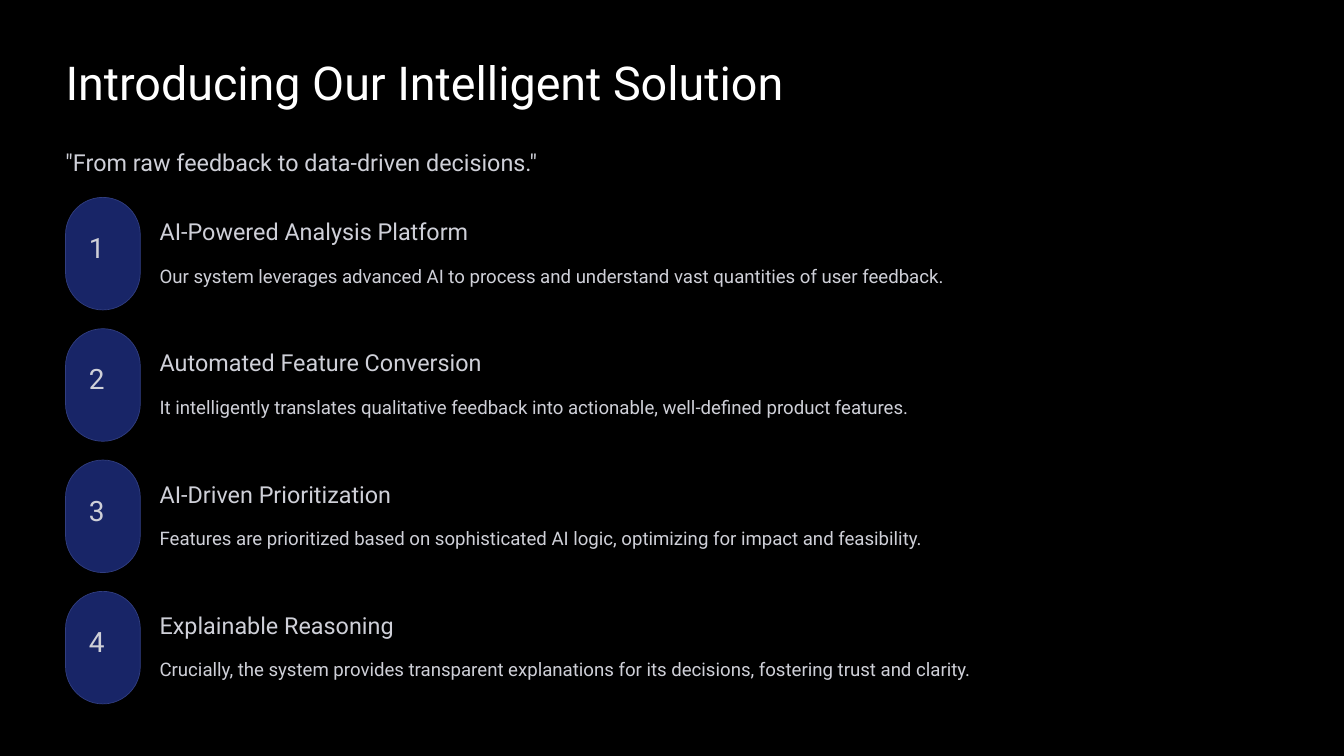
from pptx import Presentation
from pptx.dml.color import RGBColor
from pptx.enum.shapes import MSO_SHAPE
from pptx.enum.text import MSO_ANCHOR
from pptx.util import Inches, Pt

TITLE = "Introducing Our Intelligent Solution"
TAGLINE = '"From raw feedback to data-driven decisions."'
FEATURES = [
    ("AI-Powered Analysis Platform",
     "Our system leverages advanced AI to process and understand vast quantities of user feedback."),
    ("Automated Feature Conversion",
     "It intelligently translates qualitative feedback into actionable, well-defined product features."),
    ("AI-Driven Prioritization",
     "Features are prioritized based on sophisticated AI logic, optimizing for impact and feasibility."),
    ("Explainable Reasoning",
     "Crucially, the system provides transparent explanations for its decisions, "
     "fostering trust and clarity."),
]

BLACK = RGBColor(0x00, 0x00, 0x00)
WHITE = RGBColor(0xFF, 0xFF, 0xFF)
LIGHT_GRAY = RGBColor(0xCF, 0xD0, 0xD8)
NAVY = RGBColor(0x18, 0x25, 0x67)
NAVY_EDGE = RGBColor(0x31, 0x3E, 0x80)

FONT = "Roboto"
MARGIN = 0.78
TEXT_LEFT = 1.9
FIRST_TOP, LAST_TOP = 2.35, 7.04
ROW_PITCH = (LAST_TOP - FIRST_TOP) / (len(FEATURES) - 1)


def add_text(slide, text, left, top, width, height, size, line_height, color=LIGHT_GRAY):
    box = slide.shapes.add_textbox(Inches(left), Inches(top), Inches(width), Inches(height))
    frame = box.text_frame
    frame.margin_left = frame.margin_top = frame.margin_right = frame.margin_bottom = 0
    frame.word_wrap = False
    frame.vertical_anchor = MSO_ANCHOR.TOP
    paragraph = frame.paragraphs[0]
    paragraph.line_spacing = Pt(line_height)
    run = paragraph.add_run()
    run.text = text
    run.font.name = FONT
    run.font.size = Pt(size)
    run.font.color.rgb = color


def add_pill(slide, top):
    pill = slide.shapes.add_shape(
        MSO_SHAPE.ROUNDED_RECTANGLE, Inches(MARGIN), Inches(top), Inches(0.89), Inches(1.34))
    pill.adjustments[0] = 0.5
    pill.shadow.inherit = False
    pill.fill.solid()
    pill.fill.fore_color.rgb = NAVY
    pill.line.color.rgb = NAVY_EDGE
    pill.line.width = Pt(0.6)


def main():
    presentation = Presentation()
    presentation.slide_width = Inches(16)
    presentation.slide_height = Inches(9)
    slide = presentation.slides.add_slide(presentation.slide_layouts[6])
    slide.background.fill.solid()
    slide.background.fill.fore_color.rgb = BLACK

    add_text(slide, TITLE, MARGIN, 0.61, 8.72, 0.7, 40, 50, WHITE)
    add_text(slide, TAGLINE, MARGIN, 1.65, 14.43, 0.45, 20, 32)

    for index, (heading, description) in enumerate(FEATURES):
        top = FIRST_TOP + index * ROW_PITCH
        add_pill(slide, top)
        add_text(slide, str(index + 1), 1.06, top + 0.46, 0.34, 0.42, 24, 24)
        add_text(slide, heading, TEXT_LEFT, top + 0.22, 3.88, 0.35, 20, 25)
        add_text(slide, description, TEXT_LEFT, top + 0.71, 13.32, 0.36, 16, 25.5)

    presentation.save("out.pptx")


if __name__ == "__main__":
    main()
